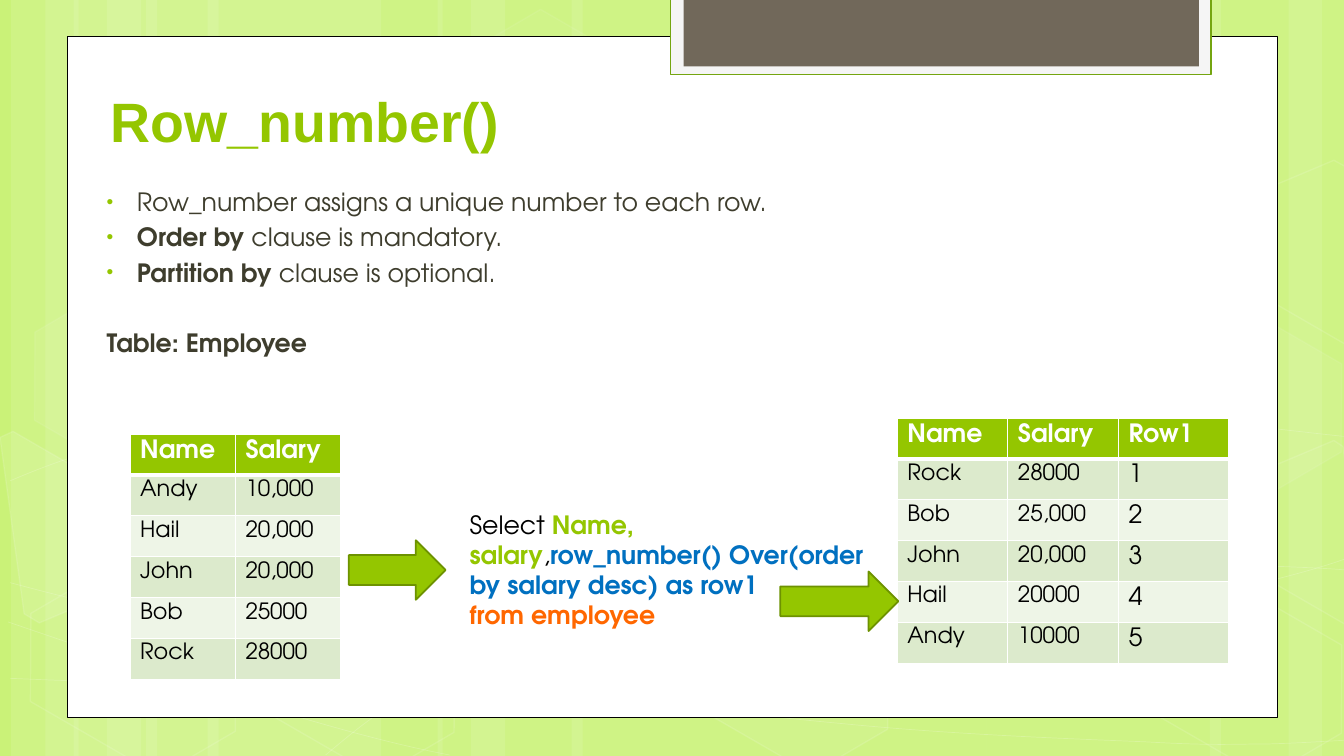
"""Build the Row_number() slide with two tables and a query."""
from lxml import etree
from pptx import Presentation
from pptx.dml.color import RGBColor
from pptx.enum.shapes import MSO_SHAPE
from pptx.enum.text import MSO_ANCHOR, PP_ALIGN
from pptx.oxml.ns import qn
from pptx.util import Inches, Pt

RECT, HEX, ARROW = MSO_SHAPE.RECTANGLE, MSO_SHAPE.HEXAGON, MSO_SHAPE.RIGHT_ARROW
TOP, BOTTOM, LEFT = MSO_ANCHOR.TOP, MSO_ANCHOR.BOTTOM, PP_ALIGN.LEFT

THEME = {
    "back": "CAF278", "white": "FFFFFF", "black": "000000", "green": "94C600",
    "edge": "6D9200", "rim": "74A510", "pale": "F5F5F5", "brown": "71685A",
    "ink": "3E3D2D", "blue": "0070C0", "orange": "FF6700",
    "bands": ("DCEACC", "EEF5E7"),
    "head": "Arial", "font": "TeX Gyre Adventor",
    "big": 39.6, "text": 18, "cell": 16,
}

STRIPES = [(1.45, 2.33), (0.11, 0.67), (0.45, 1.11), (2.06, 2.33), (0.73, 0.67),
           (1.06, 1.11), (9.78, 2.33), (12.78, 0.67), (12, 1.11), (5.67, 4.11),
           (4.34, 0.67), (4.67, 1.11)]
CURVES = [
    [(0.1, 6.73), (0.82, 6.76), (1.54, 6.79), (2.54, 6.78), (3.54, 6.77),
     (4.77, 6.75), (6.1, 6.65), (7.44, 6.55), (9.33, 6.36), (10.55, 6.17),
     (11.78, 5.98), (13.03, 5.68), (13.43, 5.51)],
    [(0.1, 4.77), (0.48, 4.61), (0.86, 4.46), (1.62, 4.31), (2.38, 4.16),
     (3.45, 3.94), (4.63, 3.87), (5.82, 3.8), (7.25, 3.79), (8.72, 3.87),
     (10.19, 3.95), (12.63, 4.26), (13.43, 4.34)],
    [(0.08, 6.17), (1.69, 6.72), (3.3, 7.27), (4.46, 7.49)],
    [(0.1, 5.78), (0.51, 5.89), (0.93, 6), (1.71, 6.16), (2.48, 6.31),
     (3.64, 6.56), (4.75, 6.73), (5.86, 6.9), (7.27, 7.08), (8.37, 7.18),
     (9.48, 7.29), (10.66, 7.33), (11.37, 7.36), (12.07, 7.4), (12.25, 7.38),
     (12.6, 7.38), (12.94, 7.37), (13.19, 7.35), (13.43, 7.34)],
    [(3.23, 7.49), (3.47, 7.29), (3.7, 7.09), (4.03, 6.91), (4.35, 6.73),
     (4.8, 6.53), (5.17, 6.39), (5.54, 6.25), (5.77, 6.19), (6.26, 6.09),
     (6.75, 5.99), (7.65, 5.85), (8.11, 5.78), (8.58, 5.71), (8.65, 5.71),
     (9.07, 5.69), (9.48, 5.66), (10.13, 5.63), (10.59, 5.62), (11.05, 5.61),
     (11.82, 5.62), (11.82, 5.62), (12.11, 5.62), (12.41, 5.62), (12.7, 5.62),
     (12.95, 5.63), (13.17, 5.64), (13.29, 5.65), (13.41, 5.66), (13.37, 5.65),
     (13.41, 5.66)],
]
HEXES = [(4.45, 0.36, 4, 8), (6.62, 5.89, 6, 12), (0.15, 5.91, 0, 12),
         (0.19, 3.12, 7, 8), (2.32, 5.92, 0, 12), (11.12, 5.93, 0, 12),
         (11.12, 3.14, 7, 8)]
SHARDS = [
    (10, [(0, 4.34), (0.13, 4.28), (1.15, 4.87), (1.27, 5.81), (0.39, 6.18), (0.24, 6.09)]),
    (4, [(12.35, 4.74), (13.23, 4.37), (13.32, 4.43), (13.57, 6.25), (13.49, 6.28),
         (12.47, 5.69)]),
    (0, [(12.35, 1.96), (13.23, 1.59), (13.34, 1.65), (13.57, 3.46), (13.49, 3.5),
         (12.47, 2.91)]),
]
FRAMES = [((0.67, 0.36, 12, 6.76), "white", ("black", 0.5)),
          ((6.65, -0.02, 5.36, 0.76), "pale", ("rim", 1.25)),
          ((6.78, -0.02, 5.11, 0.68), "brown", None)]
ARROWS = [(3.46, 5.36, 0.96, 0.59), (7.74, 5.67, 1.17, 0.59)]

TITLE = [[("Row_number()", "green", True)]]
POINTS = [[("Row_number assigns a unique number to each row.", "ink", False)],
          [("Order by ", "ink", True), ("clause is mandatory.", "ink", False)],
          [("Partition by ", "ink", True), ("clause is optional.", "ink", False)],
          [("Table: Employee", "ink", True)]]
QUERY = [[("Select ", "black", False), ("Name, salary", "green", True),
          (",", "black", False),
          ("row_number() Over(order by salary desc) as row1", "blue", True)],
         [("from employee", "orange", True)]]
TABLES = [
    (1.29, 4.31, 2.09, 0.32,
     [("Name", "Salary"), ("Andy", "10,000"), ("Hail", "20,000"),
      ("John", "20,000"), ("Bob", "25000"), ("Rock", "28000")]),
    (8.9, 4.15, 3.29, 0.39,
     [("Name", "Salary", "Row1"), ("Rock", "28000", "1"), ("Bob", "25,000", "2"),
      ("John", "20,000", "3"), ("Hail", "20000", "4"), ("Andy", "10000", "5")]),
]
ROW = 2.03 / 5


def rgb(name):
    return RGBColor.from_string(THEME.get(name, name))


def assign(item, **vals):
    for key, val in vals.items():
        setattr(item, key, val)


def paint(shape, fill=None, line=None, clear=100, faint=100):
    shape.shadow.inherit = False
    if fill and clear:
        shape.fill.solid()
        shape.fill.fore_color.rgb = rgb(fill)
    else:
        shape.fill.background()
    if line:
        shape.line.color.rgb = rgb(line[0])
        shape.line.width = Pt(line[1])
    else:
        shape.line.fill.background()
    props = shape._element.spPr
    for route, part in (("a:solidFill", clear), ("a:ln/a:solidFill", faint)):
        for node in props.xpath(route + "/a:srgbClr"):
            if part < 100:
                etree.SubElement(node, qn("a:alpha"), val=str(part * 1000))


def add_shape(slide, kind, box):
    return slide.shapes.add_shape(kind, *map(Inches, box))


def add_free(slide, dots, close):
    dots = [(Inches(x), Inches(y)) for x, y in dots]
    form = slide.shapes.build_freeform(*dots[0])
    form.add_line_segments(dots[1:], close=close)
    return form.convert_to_shape()


def add_curve(slide, dots):
    shape = add_free(slide, dots, False)
    steps = shape._element.xpath(".//a:lnTo")
    for i in range(0, len(steps), 3):
        bend = etree.Element(qn("a:cubicBezTo"))
        steps[i].addprevious(bend)
        for step in steps[i:i + 3]:
            bend.append(step[0])
            step.getparent().remove(step)
    return shape


def write(frame, paras, face, size):
    for i, runs in enumerate(paras):
        para = frame.paragraphs[0] if i == 0 else frame.add_paragraph()
        para.alignment = LEFT
        for text, tint, bold in runs:
            run = para.add_run()
            run.text = text
            assign(run.font, name=THEME[face], size=Pt(THEME[size]), bold=bold)
            run.font.color.rgb = rgb(tint)


def add_text(slide, box, paras, face="font", size="text", anchor=TOP):
    frame = slide.shapes.add_textbox(*map(Inches, box)).text_frame
    assign(frame, word_wrap=True, vertical_anchor=anchor)
    write(frame, paras, face, size)
    return frame


def add_points(slide):
    frame = add_text(slide, (0.88, 1.8, 10.64, 5.12), POINTS)
    last = len(POINTS) - 1
    for i, para in enumerate(frame.paragraphs):
        para.space_before = Pt(28.8 if i == last else 3.6)
        props = para._p.get_or_add_pPr()
        left, hang = (0.08, 0) if i == last else (0.38, -0.3)
        props.set("marL", str(Inches(left)))
        props.set("indent", str(Inches(hang)))
        if i < last:
            tint = etree.SubElement(props, qn("a:buClr"))
            etree.SubElement(tint, qn("a:srgbClr"), val=THEME["green"])
            etree.SubElement(props, qn("a:buSzPct"), val="76000")
            etree.SubElement(props, qn("a:buFont"), typeface="Arial")
            etree.SubElement(props, qn("a:buChar"), char="•")


def edge_cell(cell, head, below):
    props = cell._tc.get_or_add_tcPr()
    for side in "LRTB":
        thick = (head and side == "B") or (below and side == "T")
        line = etree.SubElement(props, qn("a:ln" + side), w=str(Pt(3 if thick else 1)))
        fill = etree.SubElement(line, qn("a:solidFill"))
        etree.SubElement(fill, qn("a:srgbClr"), val=THEME["white"])


def add_grid(slide, left, top, width, head, rows):
    high = head + ROW * (len(rows) - 1)
    box = map(Inches, (left, top, width, high))
    grid = slide.shapes.add_table(len(rows), len(rows[0]), *box).table
    for r, row in enumerate(rows):
        grid.rows[r].height = Inches(ROW if r else head)
        for c, text in enumerate(row):
            cell = grid.cell(r, c)
            edge_cell(cell, r == 0, r == 1)
            cell.fill.solid()
            cell.fill.fore_color.rgb = rgb(THEME["bands"][(r - 1) % 2] if r else "green")
            size = "cell" if r and c < 2 else "text"
            write(cell.text_frame, [[(text, "black" if r else "white", r == 0)]], "font", size)


def main():
    deck = Presentation()
    assign(deck, slide_width=Inches(13.33), slide_height=Inches(7.5))
    slide = deck.slides.add_slide(deck.slide_layouts[6])
    slide.background.fill.solid()
    slide.background.fill.fore_color.rgb = rgb("back")
    for left, width in STRIPES:
        paint(add_shape(slide, RECT, (left, 0, width, 7.5)), "white", clear=10)
    for dots in CURVES:
        paint(add_curve(slide, dots), line=("white", 0.5), faint=20)
    for left, top, clear, faint in HEXES:
        shape = add_shape(slide, HEX, (left, top, 2.34, 1.52))
        shape.rotation = 30
        shape.adjustments[0] = 0.285
        paint(shape, "white", ("white", 1), clear, faint)
    for clear, dots in SHARDS:
        paint(add_free(slide, dots, True), "white", ("white", 1), clear, 12)
    for box, fill, line in FRAMES:
        paint(add_shape(slide, RECT, box), fill, line)
    add_text(slide, (1, 0.78, 10.74, 0.79), TITLE, "head", "big", BOTTOM)
    add_points(slide)
    for grid in TABLES:
        add_grid(slide, *grid)
    add_text(slide, (4.56, 5, 4.14, 1.31), QUERY)
    for box in ARROWS:
        paint(add_shape(slide, ARROW, box), "green", ("edge", 1.25))
    deck.save("out.pptx")


if __name__ == "__main__":
    main()
